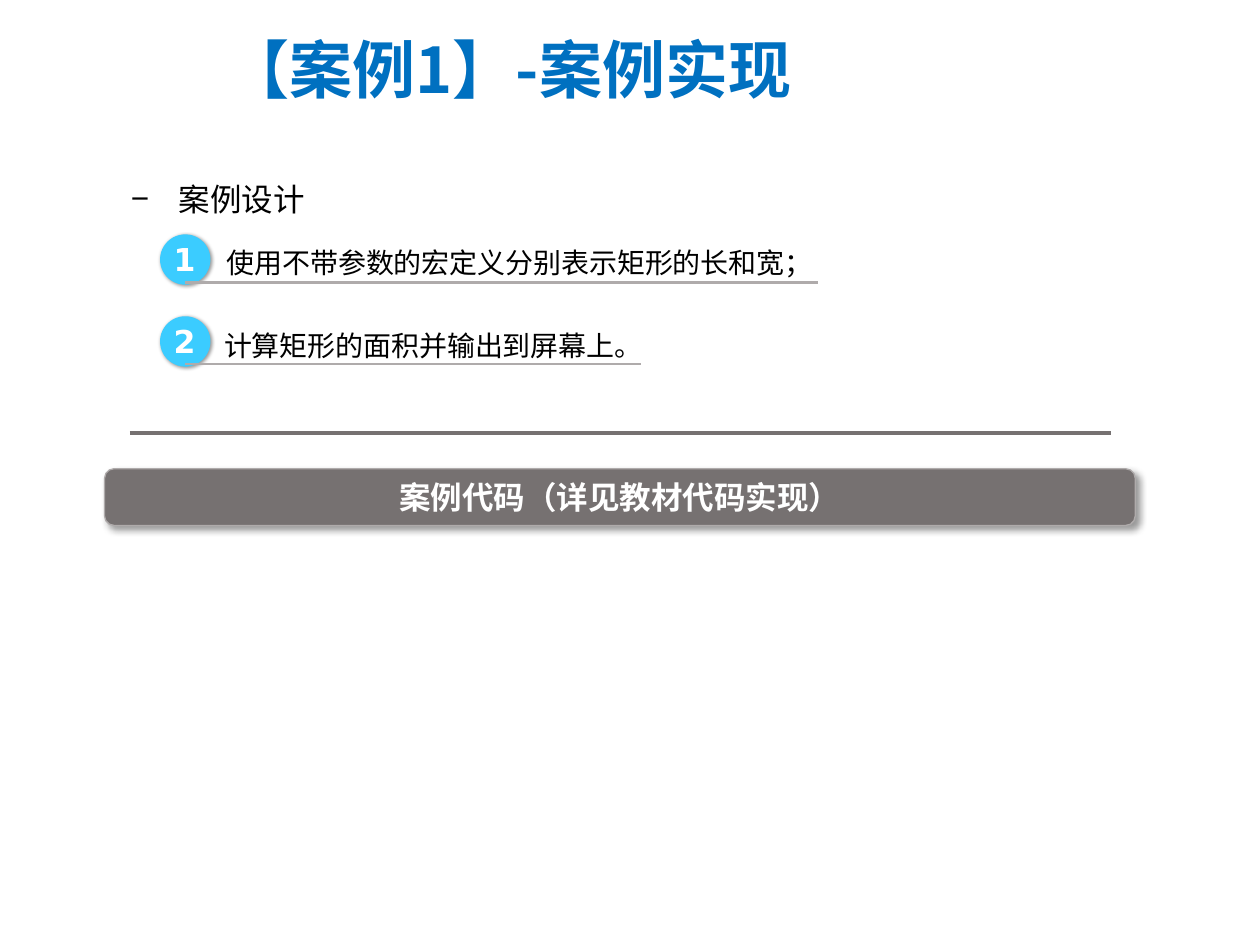
from dataclasses import dataclass

from lxml.etree import SubElement
from pptx import Presentation
from pptx.dml.color import RGBColor as Rgb
from pptx.enum.shapes import MSO_CONNECTOR as Connector, MSO_SHAPE as Shape
from pptx.enum.text import MSO_ANCHOR as Anchor, MSO_AUTO_SIZE as AutoSize, PP_ALIGN as Align
from pptx.oxml.ns import qn
from pptx.util import Inches, Pt


@dataclass(frozen=True)
class Theme:
    """Colours, fonts and type sizes of the slide."""

    blue: str = "0070C0"
    cyan: str = "3BCCFF"
    dark: str = "767171"
    grey: str = "AFABAB"
    black: str = "000000"
    white: str = "FFFFFF"
    heading_font: str = "Noto Sans CJK SC"
    body_font: str = "Calibri"
    bullet_font: str = "Arial"
    number_font: str = "DejaVu Sans"
    title_size: int = 36
    label_size: int = 18
    step_size: int = 16


THEME = Theme()
COLUMNS, ROWS = 100, 75
WIDTH, HEIGHT = Inches(10), Inches(7.5)
STEPS = [
    ("使用不带参数的宏定义分别表示矩形的长和宽；", 18.6, 17, 18.2, 49.1, 64.9),
    ("计算矩形的面积并输出到屏幕上。", 25.1, 16.8, 24.8, 35.7, 50.9),
]


def grid(*cells):
    """Turn alternating columns and rows into slide lengths."""
    units = (WIDTH / COLUMNS, HEIGHT / ROWS)
    return [round(cell * units[i % 2]) for i, cell in enumerate(cells)]


def write(para, text, font, size, color, bold=False):
    """Add one formatted run to a paragraph."""
    span = para.add_run()
    span.text = text
    span.font.name, span.font.size, span.font.bold = font, Pt(size), bold
    span.font.color.rgb = Rgb.from_string(color)
    SubElement(span.font._element, qn("a:ea"), typeface=THEME.heading_font)


def hang(para, inches):
    """Give a paragraph a hanging indent."""
    props = para._p.get_or_add_pPr()
    props.set("marL", str(Inches(inches)))
    props.set("indent", str(-Inches(inches)))


def add_shadow(shape, blur, distance):
    """Cast a soft black shadow down to the right."""
    shape.shadow.inherit = False
    effects = shape._element.spPr.find(qn("a:effectLst"))
    outer = SubElement(effects, qn("a:outerShdw"), blurRad=str(Pt(blur)), dist=str(Pt(distance)),
                       dir=str(45 * 60000), algn="tl", rotWithShape="0")
    color = SubElement(outer, qn("a:srgbClr"), val=THEME.black)
    SubElement(color, qn("a:alpha"), val="40000")


def add_text(page, cells, wrap=False):
    """Add a text box and return its first paragraph."""
    frame = page.shapes.add_textbox(*grid(*cells)).text_frame
    frame.word_wrap = wrap
    frame.auto_size = AutoSize.SHAPE_TO_FIT_TEXT
    return frame.paragraphs[0]


def add_line(page, cells, color, weight):
    """Draw a plain straight line."""
    line = page.shapes.add_connector(Connector.STRAIGHT, *grid(*cells))
    line.line.color.rgb = Rgb.from_string(color)
    line.line.width = Pt(weight)
    SubElement(line._element.spPr, qn("a:effectLst"))


def add_filled(page, kind, cells, color):
    """Add a preset shape with a solid fill."""
    shape = page.shapes.add_shape(kind, *grid(*cells))
    shape.fill.solid()
    shape.fill.fore_color.rgb = Rgb.from_string(color)
    return shape


def add_title(page, text):
    """Place and fill the title placeholder."""
    title = page.shapes.title
    title.left, title.top, title.width, title.height = grid(17, 1.7, 50.9, 8.4)
    frame = title.text_frame
    frame.vertical_anchor, frame.auto_size = Anchor.MIDDLE, AutoSize.NONE
    para = frame.paragraphs[0]
    para.alignment, para.line_spacing = Align.LEFT, 0.85
    hang(para, 0.62)
    write(para, text, THEME.heading_font, THEME.title_size, THEME.blue, True)


def add_subtitle(page, text):
    """Add the dashed heading above the steps."""
    para = add_text(page, (9.4, 12.3, 85.1, 4.8), wrap=True)
    hang(para, 0.38)
    para.line_spacing = 1.5
    props = para._p.get_or_add_pPr()
    SubElement(props, qn("a:buFont"), typeface=THEME.bullet_font)
    SubElement(props, qn("a:buChar"), char="−")
    write(para, text, THEME.bullet_font, THEME.label_size, THEME.black)


def add_step(page, number, text, top, text_left, text_top, text_width, line_end):
    """Add a numbered disc, its underline and its text."""
    disc = add_filled(page, Shape.OVAL, (12.7, top, 4, 4), THEME.cyan)
    disc.rotation = 9.6
    disc.line.fill.background()
    add_shadow(disc, 2, 1)
    write(add_text(page, (12.8, top, 3.8, 4)), str(number),
          THEME.number_font, THEME.label_size, THEME.white, True)
    add_line(page, (14.7, top + 3.8, line_end, top + 3.8), THEME.grey, 1.5)
    para = add_text(page, (text_left, text_top, text_width, 4.3))
    para.line_spacing, para.space_after = 1.3, Pt(3)
    write(para, text, THEME.body_font, THEME.step_size, THEME.black)


def add_banner(page, text):
    """Add the rounded bar that points to the code."""
    banner = add_filled(page, Shape.ROUNDED_RECTANGLE, (8.3, 37.2, 81.8, 4.5), THEME.dark)
    banner.line.color.rgb = Rgb.from_string(THEME.grey)
    banner.line.width = Pt(0.75)
    add_shadow(banner, 4, 3)
    banner.text_frame.vertical_anchor = Anchor.MIDDLE
    para = banner.text_frame.paragraphs[0]
    para.alignment = Align.CENTER
    write(para, text, THEME.body_font, THEME.label_size, THEME.white, True)


def main():
    """Build the slide and save the deck."""
    deck = Presentation()
    deck.slide_width, deck.slide_height = WIDTH, HEIGHT
    page = deck.slides.add_slide(deck.slide_layouts[5])
    add_title(page, "【案例1】-案例实现")
    add_subtitle(page, "案例设计")
    for number, step in enumerate(STEPS, 1):
        add_step(page, number, *step)
    add_line(page, (10.3, 34.4, 88.2, 34.4), THEME.dark, 2.25)
    add_banner(page, "案例代码（详见教材代码实现）")
    deck.save("out.pptx")


if __name__ == "__main__":
    main()
